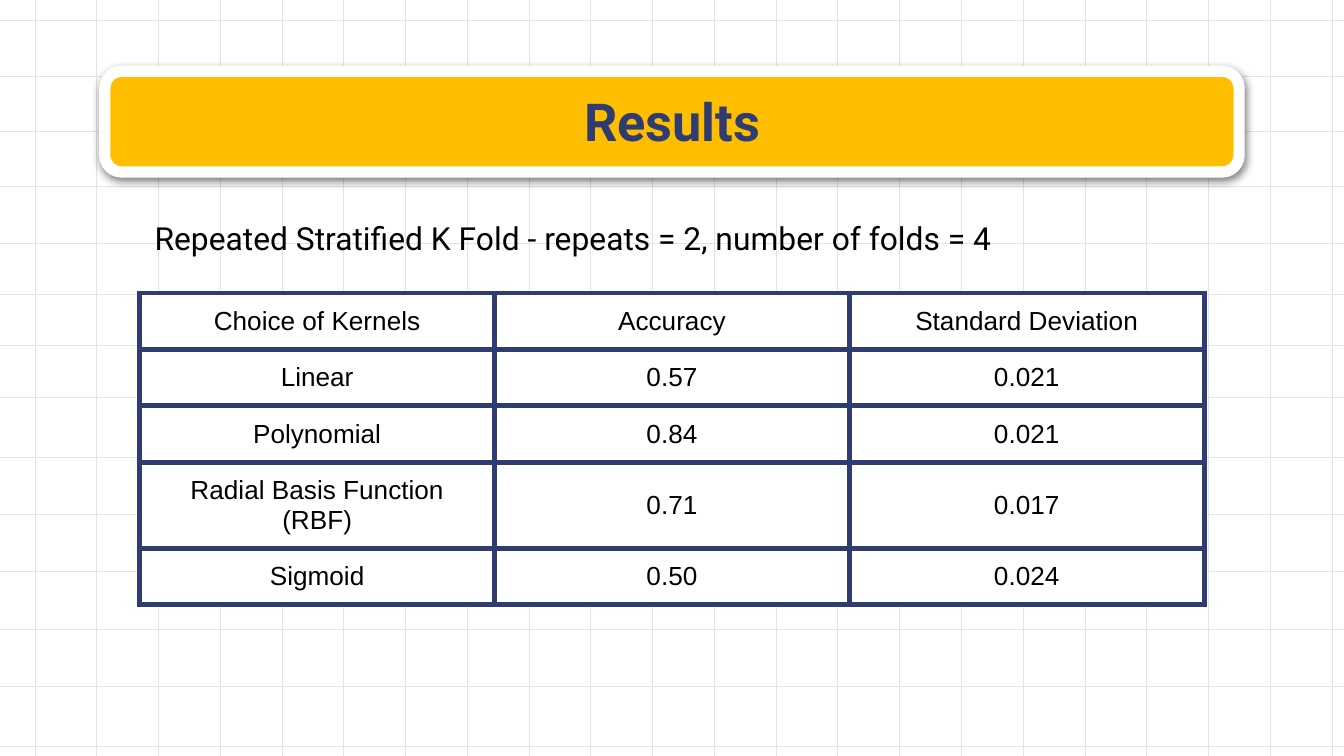
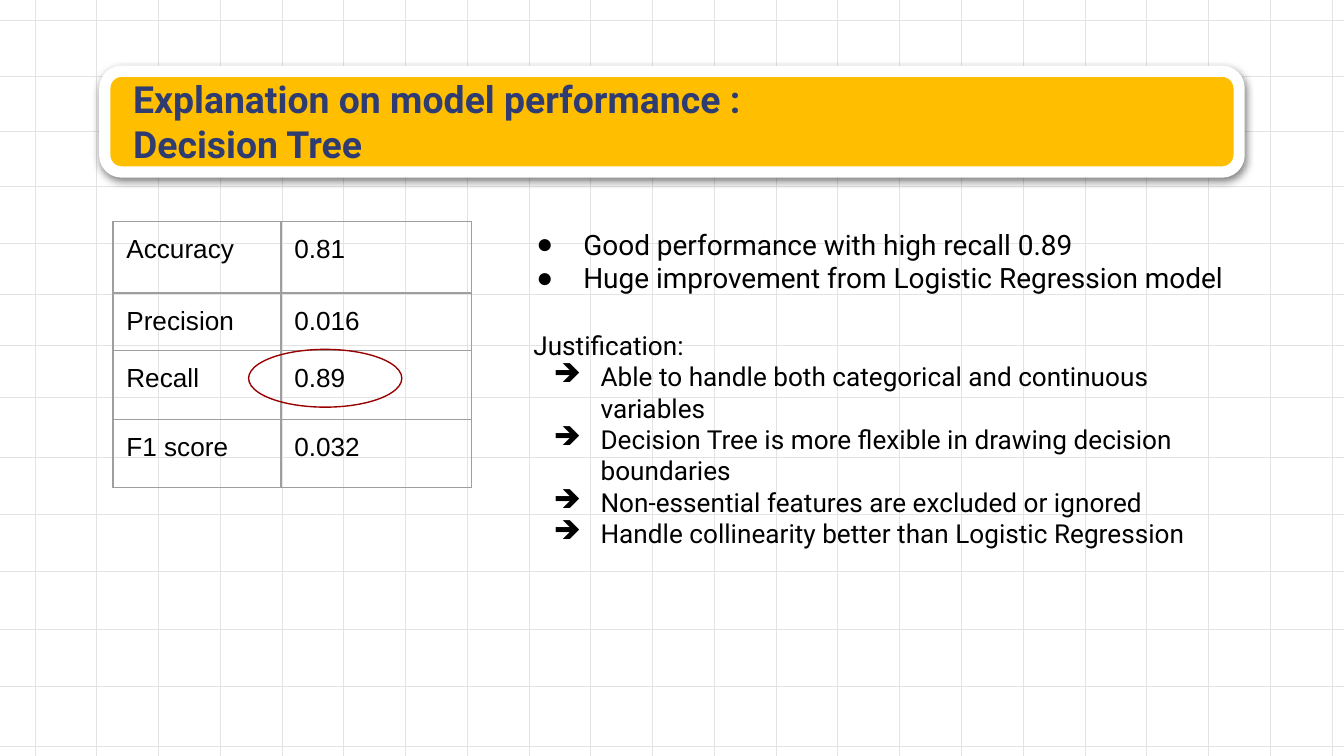
from lxml import etree
from pptx import Presentation
from pptx import util as u
from pptx.dml.color import RGBColor
from pptx.enum import shapes, text
from pptx.oxml import ns

WIDTH = u.Inches(10)
HEIGHT = WIDTH * 9 // 16
NAVY, YELLOW, WHITE, BLACK = "2F3C72", "FFBE00", "FFFFFF", "000000"
GRID_GREY, TABLE_GREY, RED = "E3E3E3", "9E9E9E", "980000"
GRID_ROWS = [2.67, 10.13, 17.42, 24.71, 32.18, 38.93, 45.69,
             52.62, 60.44, 68.09, 75.56, 83.2, 90.84, 98.67]
GRID_COLUMNS = 22
GRID_LEFT, GRID_RIGHT = 2.6, 99.1
CENTER = text.PP_ALIGN.CENTER
TOP, MIDDLE = text.MSO_ANCHOR.TOP, text.MSO_ANCHOR.MIDDLE

KERNELS = [
    ["Choice of Kernels", "Accuracy", "Standard Deviation"],
    ["Linear", "0.57", "0.021"],
    ["Polynomial", "0.84", "0.021"],
    ["Radial Basis Function (RBF)", "0.71", "0.017"],
    ["Sigmoid", "0.50", "0.024"],
]
METRICS = [
    ["Accuracy", "0.81"],
    ["Precision", "0.016"],
    ["Recall", "0.89"],
    ["F1 score", "0.032"],
]
FINDINGS = [
    "Good performance with high recall 0.89",
    "Huge improvement from Logistic Regression model",
]
REASONS = [
    "Able to handle both categorical and continuous variables",
    "Decision Tree is more flexible in drawing decision boundaries",
    "Non-essential features are excluded or ignored",
    "Handle collinearity better than Logistic Regression",
]


def color(value):
    """Turn a hex string into a colour."""
    return RGBColor.from_string(value)


def across(percent):
    """Length as a percentage of the slide's width."""
    return round(WIDTH * percent / 100)


def down(percent):
    """Length as a percentage of the slide's height."""
    return round(HEIGHT * percent / 100)


def box(left, top, width, height):
    """Position and size from percentages of the slide."""
    return across(left), down(top), across(width), down(height)


def add_xml(parent, tag, **attributes):
    """Append a drawing element with its attributes."""
    values = {name: str(value) for name, value in attributes.items()}
    return etree.SubElement(parent, ns.qn(tag), values)


def write_text(frame, lines, size=14, font="Roboto", ink=BLACK, bold=False,
               align=None, bullet=None):
    """Append formatted paragraphs, with bullets if a sign is given."""
    for line in lines:
        paragraph = frame.add_paragraph() if frame.text else frame.paragraphs[0]
        paragraph.alignment = align or text.PP_ALIGN.LEFT
        paragraph.space_before = u.Pt(0)
        run = paragraph.add_run()
        run.text = line
        run.font.size = u.Pt(size)
        run.font.name = font
        run.font.bold = bold
        run.font.color.rgb = color(ink)
        properties = paragraph._p.get_or_add_pPr()
        properties.set("marL", str(u.Inches(0.5) if bullet else 0))
        properties.set("indent", str(u.Inches(-0.35) if bullet else 0))
        if bullet:
            bullet_color = add_xml(properties, "a:buClr")
            add_xml(bullet_color, "a:srgbClr", val=BLACK)
            add_xml(properties, "a:buChar", char=bullet)
        else:
            add_xml(properties, "a:buNone")


def prepare_text(shape, bounds, anchor=TOP):
    """Place a text shape, set its insets and return its frame."""
    shape.left, shape.top, shape.width, shape.height = bounds
    frame = shape.text_frame
    frame.word_wrap = True
    frame.auto_size = text.MSO_AUTO_SIZE.NONE
    frame.vertical_anchor = anchor
    frame.margin_left = frame.margin_right = u.Inches(0.1)
    frame.margin_top = frame.margin_bottom = u.Inches(0.1)
    return frame


def add_title(slide, bounds, lines, size, align=None):
    """Fill the title placeholder on the banner."""
    frame = prepare_text(slide.shapes.title, bounds, MIDDLE)
    write_text(frame, lines, size=size, ink=NAVY, bold=True, align=align)


def add_grid_line(slide, *ends):
    """Draw one line of the squared paper."""
    line = slide.shapes.add_connector(shapes.MSO_CONNECTOR.STRAIGHT, *ends)
    line.line.color.rgb = color(GRID_GREY)
    line.line.width = u.Pt(0.35)
    add_xml(line.element.spPr, "a:effectLst")
    return line


def add_outlined_shape(slide, kind, bounds, line, width, fill=None):
    """Add a preset shape with an outline and an optional fill."""
    shape = slide.shapes.add_shape(kind, *bounds)
    shape.shadow.inherit = False
    shape.line.color.rgb = color(line)
    shape.line.width = u.Pt(width)
    if fill:
        shape.fill.solid()
        shape.fill.fore_color.rgb = color(fill)
    else:
        shape.fill.background()
    return shape


def add_banner(slide):
    """Add the rounded title band with its soft shadow."""
    banner = add_outlined_shape(slide, shapes.MSO_SHAPE.ROUNDED_RECTANGLE,
                                box(7.8, 9.42, 84.4, 13.33), WHITE, 6, YELLOW)
    effects = banner.element.spPr.find(ns.qn("a:effectLst"))
    shadow = add_xml(effects, "a:outerShdw", blurRad=u.Pt(4.5), dist=u.Pt(1.5),
                     dir=90 * 60000, algn="bl", rotWithShape=0)
    shade = add_xml(shadow, "a:srgbClr", val=BLACK)
    add_xml(shade, "a:alpha", val=50000)
    return banner


def decorate_layout(layout, slide):
    """Draw the grid and the banner, then hand them to the layout."""
    for placeholder in list(layout.placeholders):
        if placeholder.placeholder_format.idx >= 10:
            layout.shapes.element.remove(placeholder.element)
    step = (GRID_RIGHT - GRID_LEFT) / (GRID_COLUMNS - 1)
    decorations = [add_grid_line(slide, across(-1.5), down(row), across(106.4), down(row))
                   for row in GRID_ROWS]
    for index in range(GRID_COLUMNS):
        x = across(GRID_LEFT + index * step)
        decorations.append(add_grid_line(slide, x, down(-5.87), x, down(102.04)))
    decorations.append(add_banner(slide))
    for shape in decorations:
        layout.shapes.element.append(shape.element)


def set_borders(cell, line, width):
    """Draw the same border on all sides of a cell."""
    properties = cell._tc.get_or_add_tcPr()
    for side in ("a:lnL", "a:lnR", "a:lnT", "a:lnB"):
        border = add_xml(properties, side, w=u.Pt(width))
        add_xml(add_xml(border, "a:solidFill"), "a:srgbClr", val=line)


def add_table(slide, left, top, widths, heights, rows, line, width,
              fill=None, align=None, anchor=TOP):
    """Add a bordered table of text."""
    bounds = box(left, top, sum(widths), sum(heights))
    table = slide.shapes.add_table(len(rows), len(widths), *bounds).table
    table.first_row = table.horz_banding = False
    for column, share in zip(table.columns, widths):
        column.width = across(share)
    for row, share, values in zip(table.rows, heights, rows):
        row.height = down(share)
        for cell, value in zip(row.cells, values):
            cell.margin_left = cell.margin_right = u.Inches(0.1)
            cell.margin_top = cell.margin_bottom = u.Inches(0.1)
            cell.vertical_anchor = anchor
            write_text(cell.text_frame, [value], font="Arial", align=align)
            set_borders(cell, line, width)
            if fill:
                cell.fill.solid()
                cell.fill.fore_color.rgb = color(fill)
            else:
                cell.fill.background()


def build_results(slide):
    """Show the scores of each kernel."""
    add_title(slide, box(7.8, 10.49, 84.4, 10.84), ["Results"], 28, CENTER)
    frame = prepare_text(slide.placeholders[1], box(10.5, 27.2, 65.9, 8.71))
    write_text(frame, ["Repeated Stratified K Fold - repeats = 2, number of folds = 4"],
               size=17)
    add_table(slide, 10.4, 38.76, [26.4] * 3, [7.47] * 5, KERNELS, NAVY, 3,
              fill=WHITE, align=CENTER, anchor=MIDDLE)


def build_explanation(slide):
    """Show the decision tree's scores and the reasons for them."""
    add_title(slide, box(8.9, 8.18, 82.2, 15.64),
              ["Explanation on model performance :", "Decision Tree"], 20)
    add_table(slide, 8.4, 29.33, [12.5, 14.2], [9.42, 7.64, 9.07, 9.07],
              METRICS, TABLE_GREY, 0.75)
    findings = prepare_text(slide.placeholders[1], box(37.4, 28.27, 64.2, 19.38))
    write_text(findings, FINDINGS, size=15, bullet="●")
    bounds = box(38.7, 41.78, 54.1, 37.16)
    reasons = prepare_text(slide.shapes.add_textbox(*bounds), bounds)
    write_text(reasons, ["Justification:"])
    write_text(reasons, REASONS, bullet="➔")
    add_outlined_shape(slide, shapes.MSO_SHAPE.OVAL,
                       box(18.5, 46.22, 11.4, 7.64), RED, 0.75)


def main():
    """Build and save the presentation."""
    presentation = Presentation()
    presentation.slide_width, presentation.slide_height = WIDTH, HEIGHT
    layout = presentation.slide_layouts[1]
    results = presentation.slides.add_slide(layout)
    explanation = presentation.slides.add_slide(layout)
    decorate_layout(layout, results)
    build_results(results)
    build_explanation(explanation)
    presentation.save("out.pptx")


if __name__ == "__main__":
    main()
